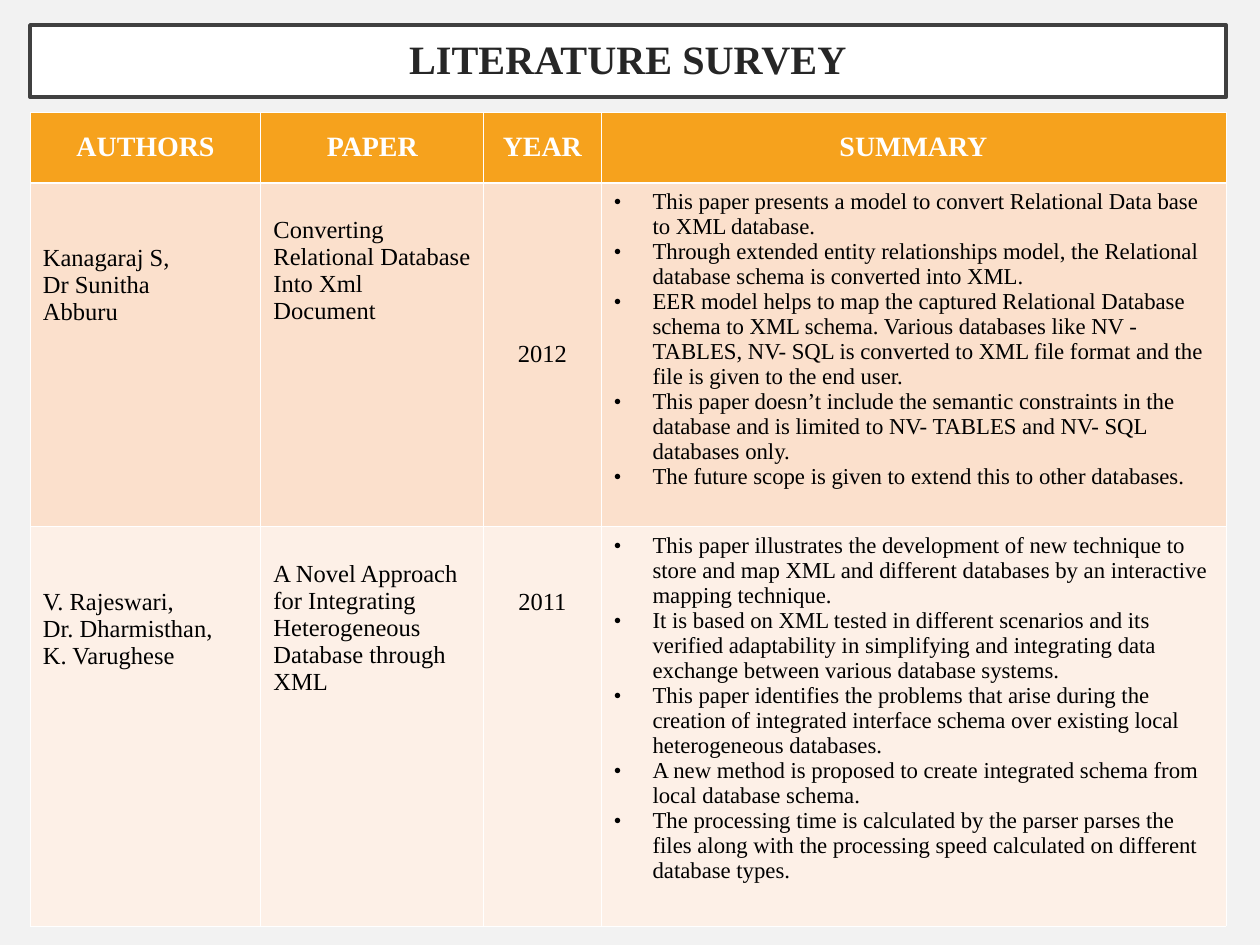
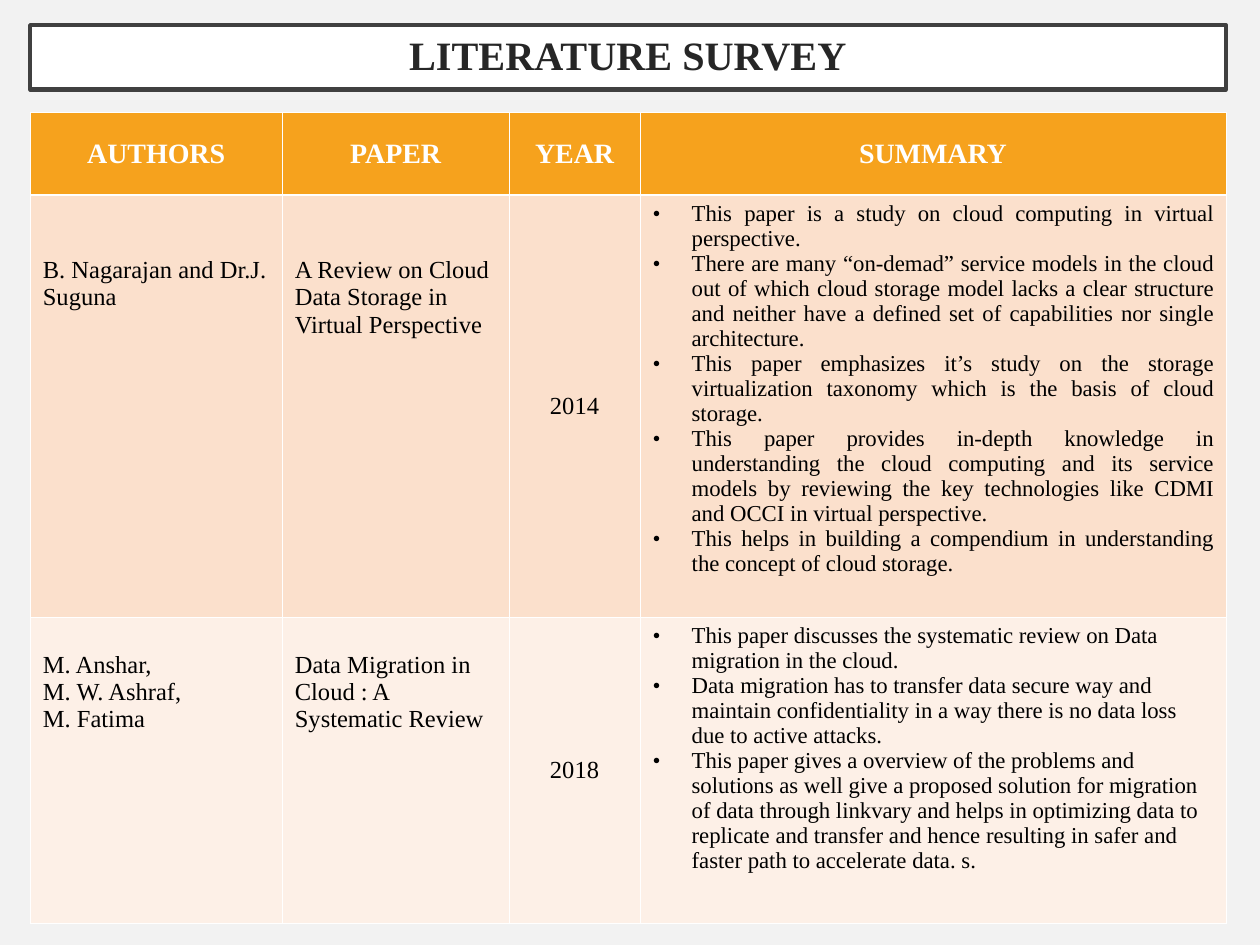
"""Build the two literature survey slides."""
from dataclasses import dataclass
from typing import Optional

from lxml.etree import SubElement
from pptx import Presentation
from pptx.dml.color import RGBColor
from pptx.enum.shapes import MSO_SHAPE
from pptx.enum.text import MSO_ANCHOR, PP_ALIGN
from pptx.oxml.ns import qn
from pptx.util import Inches, Pt

FONT = "Times New Roman"
PAGE = RGBColor(0xF2, 0xF2, 0xF2)
WHITE = RGBColor(0xFF, 0xFF, 0xFF)
BLACK = RGBColor(0x00, 0x00, 0x00)
FRAME = RGBColor(0x40, 0x40, 0x40)
INK = RGBColor(0x26, 0x26, 0x26)
ORANGE = RGBColor(0xF6, 0xA2, 0x1D)
BANDS = (RGBColor(0xFB, 0xE0, 0xCC), RGBColor(0xFD, 0xF0, 0xE7))
LEFT, WIDTH = 0.24, 9.49
THIN, THICK = 0.45, 1.47
PAD, LINE = 0.05, 0.22
HEADS = ("AUTHORS", "PAPER", "YEAR", "SUMMARY")


@dataclass(frozen=True)
class Style:
    """How the text of a cell looks."""
    size: int = 14
    color: RGBColor = BLACK
    bold: bool = False
    align: PP_ALIGN = PP_ALIGN.LEFT
    bullet: bool = False


HEAD = Style(16, WHITE, True, PP_ALIGN.CENTER)
PLAIN = Style()
MID = Style(align=PP_ALIGN.CENTER)
NOTE = Style(13, bullet=True)
EVEN = Style(13, align=PP_ALIGN.JUSTIFY, bullet=True)


@dataclass(frozen=True)
class Entry:
    """Lines of one cell, with lines to drop or None for the middle."""
    lines: tuple[str, ...]
    style: Style = PLAIN
    drop: Optional[int] = 0


@dataclass(frozen=True)
class Survey:
    """One slide: title height, table grid and rows."""
    height: float
    cols: tuple[float, ...]
    rows: tuple[float, ...]
    papers: tuple[tuple[Entry, ...], ...]


SURVEYS = (
    Survey(0.57, (1.83, 1.77, 0.93, 4.96), (0.56, 2.73, 3.17), (
        (
            Entry(("Kanagaraj S,", "Dr Sunitha", "Abburu"), drop=2),
            Entry(("Converting Relational Database Into Xml Document",), drop=1),
            Entry(("2012",), MID, None),
            Entry((
                "This paper presents a model to convert Relational Data base to XML database.",
                "Through extended entity relationships model, the Relational database schema "
                "is converted into XML.",
                "EER model helps to map the captured Relational Database schema to XML schema. "
                "Various databases like NV - TABLES, NV- SQL is converted to XML file format "
                "and the file is given to the end user.",
                "This paper doesn’t include the semantic constraints in the database and is "
                "limited to NV- TABLES and NV- SQL databases only.",
                "The future scope is given to extend this to other databases.",
            ), NOTE),
        ),
        (
            Entry(("V. Rajeswari,", "Dr. Dharmisthan,", "K. Varughese"), drop=2),
            Entry(("A Novel Approach for Integrating Heterogeneous Database through XML",),
                  drop=1),
            Entry(("2011",), MID, 2),
            Entry((
                "This paper illustrates the development of new technique to store and map XML "
                "and different databases by an interactive mapping technique.",
                "It is based on XML tested in different scenarios and its verified adaptability "
                "in simplifying and integrating data exchange between various database systems.",
                "This paper identifies the problems that arise during the creation of integrated "
                "interface schema over existing local heterogeneous databases.",
                "A new method is proposed to create integrated schema from local database schema.",
                "The processing time is calculated by the parser parses the files along with the "
                "processing speed calculated on different database types.",
            ), NOTE),
        ),
    )),
    Survey(0.51, (2, 1.8, 1.04, 4.65), (0.66, 3.35, 2.43), (
        (
            Entry(("B. Nagarajan and Dr.J. Suguna",), drop=2),
            Entry(("A Review on Cloud Data Storage in Virtual Perspective",), drop=2),
            Entry(("2014",), MID, None),
            Entry((
                "This paper is a study on cloud computing in virtual perspective.",
                "There are many “on-demad” service models in the cloud out of which cloud storage "
                "model lacks a clear structure and neither have a defined set of capabilities "
                "nor single architecture.",
                "This paper emphasizes it’s study on the storage virtualization taxonomy which is "
                "the basis of cloud storage.",
                "This paper provides in-depth knowledge in understanding the cloud computing and "
                "its service models by reviewing the key technologies like CDMI and OCCI in "
                "virtual perspective.",
                "This helps in building a compendium in understanding the concept of cloud "
                "storage.",
            ), EVEN),
        ),
        (
            Entry(("M. Anshar,", "M. W. Ashraf,", "M. Fatima"), drop=1),
            Entry(("Data Migration in Cloud : A Systematic Review",), drop=1),
            Entry(("2018",), MID, None),
            Entry((
                "This paper discusses the systematic review on Data migration in the cloud.",
                "Data migration has to transfer data secure way and maintain confidentiality in a "
                "way there is no data loss due to active attacks.",
                "This paper gives a overview of the problems and solutions as well give a proposed "
                "solution for migration of data through linkvary and helps in optimizing data to "
                "replicate and transfer and hence resulting in safer and faster path to "
                "accelerate data. s.",
            ), NOTE),
        ),
    )),
)


def add_run(para, text: str, style: Style) -> None:
    """Add one styled run to a paragraph."""
    run = para.add_run()
    run.text = text
    run.font.name = FONT
    run.font.size = Pt(style.size)
    run.font.bold = style.bold
    run.font.color.rgb = style.color


def add_bullet(para) -> None:
    """Give a paragraph a hanging black bullet."""
    props = para._p.get_or_add_pPr()
    indent = Inches(0.31)
    props.set("marL", str(indent))
    props.set("indent", str(-indent))
    tint = SubElement(props, qn("a:buClr"))
    SubElement(tint, qn("a:srgbClr"), val=str(BLACK))
    SubElement(props, qn("a:buFont"), typeface=FONT)
    SubElement(props, qn("a:buChar"), char="•")


def add_edges(cell, top: float, bottom: float) -> None:
    """Draw white borders around a cell."""
    props = cell._tc.get_or_add_tcPr()
    for side, width in (("L", THIN), ("R", THIN), ("T", top), ("B", bottom)):
        edge = SubElement(props, qn(f"a:ln{side}"), w=str(Pt(width)))
        fill = SubElement(edge, qn("a:solidFill"))
        SubElement(fill, qn("a:srgbClr"), val=str(WHITE))


def fill_cell(cell, entry: Entry, fill: RGBColor, top: float, bottom: float) -> None:
    """Write an entry into a cell and paint it."""
    add_edges(cell, top, bottom)
    cell.fill.solid()
    cell.fill.fore_color.rgb = fill
    if entry.drop is None:
        cell.vertical_anchor = MSO_ANCHOR.MIDDLE
    else:
        cell.margin_top = Inches(PAD + LINE * entry.drop)
    frame = cell.text_frame
    for i, line in enumerate(entry.lines):
        para = frame.add_paragraph() if i else frame.paragraphs[0]
        para.alignment = entry.style.align
        if entry.style.bullet:
            add_bullet(para)
        add_run(para, line, entry.style)


def add_title(slide, height: float) -> None:
    """Draw the framed title."""
    box = slide.shapes.add_shape(MSO_SHAPE.RECTANGLE, Inches(LEFT), Inches(0.2),
                                 Inches(WIDTH), Inches(height))
    box.shadow.inherit = False
    box.fill.solid()
    box.fill.fore_color.rgb = WHITE
    box.line.color.rgb = FRAME
    box.line.width = Pt(2.5)
    frame = box.text_frame
    frame.word_wrap = True
    frame.vertical_anchor = MSO_ANCHOR.MIDDLE
    para = frame.paragraphs[0]
    para.alignment = PP_ALIGN.CENTER
    para.line_spacing = 0.9
    add_run(para, "LITERATURE SURVEY", Style(23, INK, True))


def add_grid(slide, survey: Survey) -> None:
    """Draw the table of papers."""
    table = slide.shapes.add_table(
        len(survey.rows), len(survey.cols), Inches(LEFT), Inches(0.89),
        Inches(WIDTH), Inches(sum(survey.rows))).table
    for col, width in zip(table.columns, survey.cols):
        col.width = Inches(width)
    for row, height in zip(table.rows, survey.rows):
        row.height = Inches(height)
    heads = tuple(Entry((text,), HEAD, None) for text in HEADS)
    fills = (ORANGE, *BANDS)
    for r, (entries, fill) in enumerate(zip((heads, *survey.papers), fills)):
        top = THICK if r == 1 else THIN
        bottom = THICK if r == 0 else THIN
        for c, entry in enumerate(entries):
            fill_cell(table.cell(r, c), entry, fill, top, bottom)


def main() -> None:
    """Build and save the deck."""
    deck = Presentation()
    deck.slide_width, deck.slide_height = Inches(10), Inches(7.5)
    for survey in SURVEYS:
        slide = deck.slides.add_slide(deck.slide_layouts[6])
        slide.background.fill.solid()
        slide.background.fill.fore_color.rgb = PAGE
        add_title(slide, survey.height)
        add_grid(slide, survey)
    deck.save("out.pptx")


if __name__ == "__main__":
    main()
